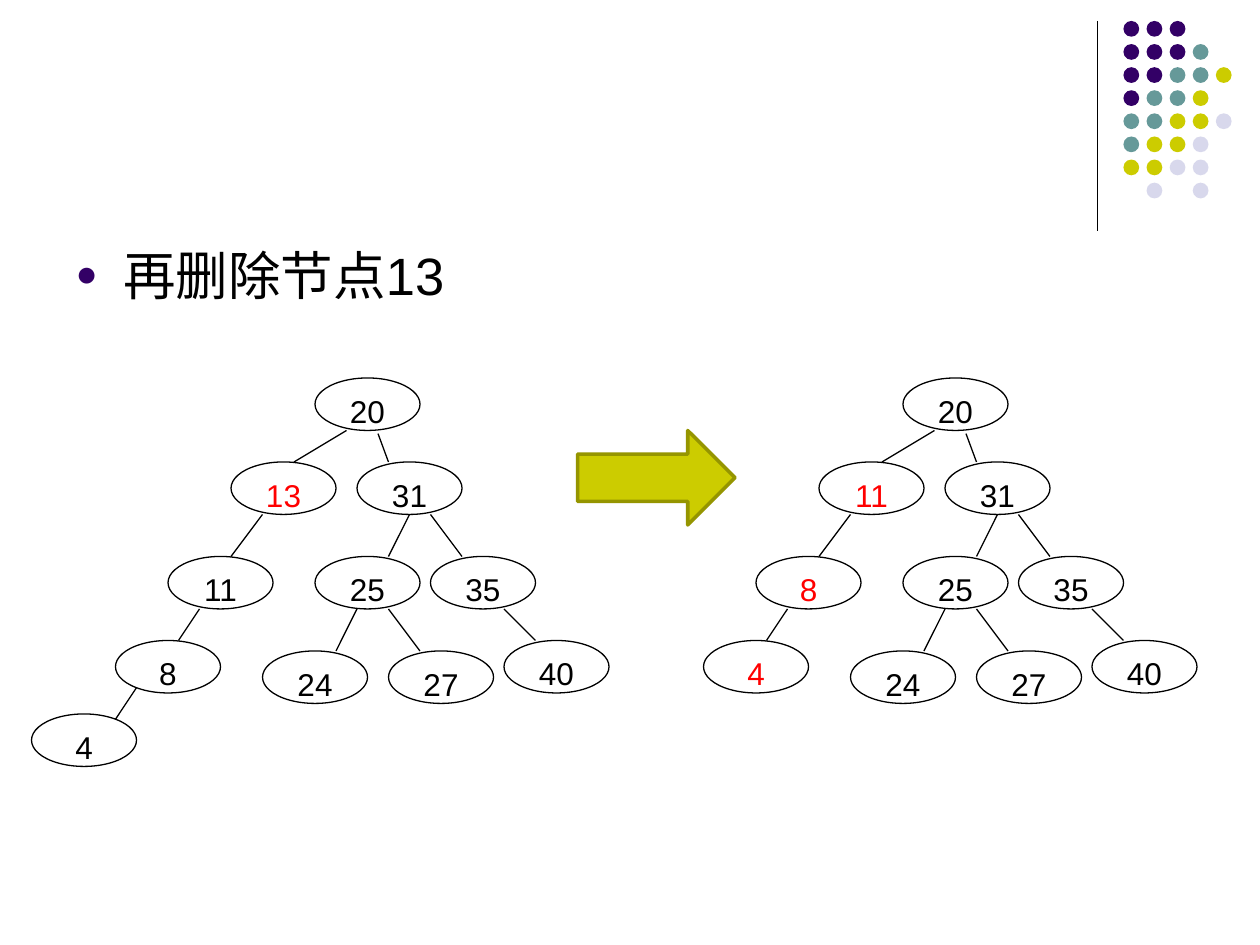
"""Slide on deleting node 13 from a binary search tree, laid out on a 120 by 90 grid."""
from dataclasses import dataclass

from lxml.etree import SubElement
from pptx import Presentation
from pptx.dml.color import RGBColor
from pptx.enum.shapes import MSO_CONNECTOR, MSO_SHAPE
from pptx.enum.text import MSO_ANCHOR, MSO_AUTO_SIZE, PP_ALIGN
from pptx.oxml.ns import qn
from pptx.util import Inches, Pt

COLORS = {
    "black": "000000", "white": "FFFFFF", "red": "FF0000", "purple": "330066",
    "teal": "669999", "olive": "CCCC00", "dark olive": "959500", "lilac": "D8D8EC",
}
DOT_COLORS = {"P": "purple", "T": "teal", "O": "olive", "L": "lilac"}
DOT_ROWS = ("PPP", "PPPT", "PPTTO", "PTTO", "TTOOL", "TOOL", "OOLL", " L L")
CELL = Inches(10) // 120
NODE_COLS, NODE_ROWS = 10, 5
DOT_PITCH, DOT_SIZE = 2.2, 1.5


@dataclass(frozen=True)
class Node:
    """A tree node: its grid place, its label and the edge from it to its parent."""
    col: float
    row: float
    label: str
    edge: tuple[float, ...] = ()
    color: str = "black"


FIXED_NODES = (
    Node(30, 36, "20"),
    Node(34, 44, "31", (37, 44, 36, 41.3)),
    Node(30, 53, "25", (37, 53, 39, 49)),
    Node(41, 53, "35", (44, 53, 41, 49)),
    Node(25, 62, "24", (32, 62, 34, 58)),
    Node(37, 62, "27", (40, 62, 37, 58)),
    Node(48, 61, "40", (51, 61, 48, 58)),
)
LEFT_CHAIN = (
    (22, 44, (28, 44, 33, 41)),
    (16, 53, (22, 53, 25, 49)),
    (11, 61, (17, 61, 19, 58)),
    (3, 68, (11, 68.5, 13, 65.5)),
)


def grid(*cells: float) -> list[int]:
    """Turn grid cells into lengths."""
    return [round(c * CELL) for c in cells]


def rgb(name: str) -> RGBColor:
    """Look up a named colour."""
    return RGBColor.from_string(COLORS[name])


def write(tf, text: str, *, size: float, color: str = "black",
          align=PP_ALIGN.LEFT, bullet: str = "") -> None:
    """Write one formatted paragraph, with a bullet if its colour is given."""
    tf.word_wrap = True
    tf.auto_size = MSO_AUTO_SIZE.NONE
    tf.vertical_anchor = MSO_ANCHOR.TOP
    p = tf.paragraphs[0]
    p.alignment = align
    p.space_before = Pt(0)
    if bullet:
        pPr = p._p.get_or_add_pPr()
        pPr.set("marL", str(Inches(0.38)))
        pPr.set("indent", str(-Inches(0.38)))
        SubElement(SubElement(pPr, qn("a:buClr")), qn("a:srgbClr"), val=COLORS[bullet])
        SubElement(pPr, qn("a:buSzPct"), val="70000")
        SubElement(pPr, qn("a:buFont"), typeface="Arial")
        SubElement(pPr, qn("a:buChar"), char="●")
    r = p.add_run()
    r.text = text
    r.font.name = "Arial"
    r.font.size = Pt(size)
    r.font.color.rgb = rgb(color)


def add_shape(shapes, kind, *cells: float, fill: str, line: str = "", width: float = 0.75):
    """Add a flat preset shape on the grid."""
    sp = shapes.add_shape(kind, *grid(*cells))
    sp.shadow.inherit = False
    sp.fill.solid()
    sp.fill.fore_color.rgb = rgb(fill)
    if line:
        sp.line.color.rgb = rgb(line)
        sp.line.width = Pt(width)
    else:
        sp.line.fill.background()
    return sp


def add_line(shapes, *cells: float) -> None:
    """Add a thin black line on the grid."""
    cxn = shapes.add_connector(MSO_CONNECTOR.STRAIGHT, *grid(*cells))
    cxn.line.color.rgb = rgb("black")
    cxn.line.width = Pt(0.75)
    SubElement(cxn._element.spPr, qn("a:effectLst"))


def add_dots(shapes) -> None:
    """Add the corner pattern of dots."""
    dots = shapes.add_group_shape().shapes
    for i, row in enumerate(DOT_ROWS):
        for j, key in enumerate(row):
            if key in DOT_COLORS:
                add_shape(dots, MSO_SHAPE.OVAL, 107 + j * DOT_PITCH, 2 + i * DOT_PITCH,
                          DOT_SIZE, DOT_SIZE, fill=DOT_COLORS[key])


def add_tree(shapes, offset: int, chain: list[tuple[str, str]]) -> None:
    """Add a tree whose left chain holds the given labels and colours."""
    tree = shapes.add_group_shape().shapes
    left = [Node(col, row, label, edge, color)
            for (col, row, edge), (label, color) in zip(LEFT_CHAIN, chain)]
    for node in (*FIXED_NODES, *left):
        sp = add_shape(tree, MSO_SHAPE.OVAL, node.col + offset, node.row,
                       NODE_COLS, NODE_ROWS, fill="white", line="black")
        write(sp.text_frame, node.label, size=18, color=node.color, align=PP_ALIGN.CENTER)
        if node.edge:
            x1, y1, x2, y2 = node.edge
            add_line(tree, x1 + offset, y1, x2 + offset, y2)


def main() -> None:
    """Build and save the slide."""
    prs = Presentation()
    prs.slide_width, prs.slide_height = Inches(10), Inches(7.5)
    s = prs.slides.add_slide(prs.slide_layouts[1])
    title, body = s.placeholders
    title._element.getparent().remove(title._element)
    body.left, body.top, body.width, body.height = grid(6, 22.5, 108, 58)
    write(body.text_frame, "再删除节点13", size=30, bullet="purple")

    add_line(s.shapes, 104.5, 2, 104.5, 22)
    add_dots(s.shapes)
    add_tree(s.shapes, 0, [("13", "red"), ("11", "black"), ("8", "black"), ("4", "black")])
    add_tree(s.shapes, 56, [("11", "red"), ("8", "red"), ("4", "red")])
    add_shape(s.shapes, MSO_SHAPE.RIGHT_ARROW, 55, 41, 15, 9,
              fill="olive", line="dark olive", width=2)
    prs.save("out.pptx")


if __name__ == "__main__":
    main()
